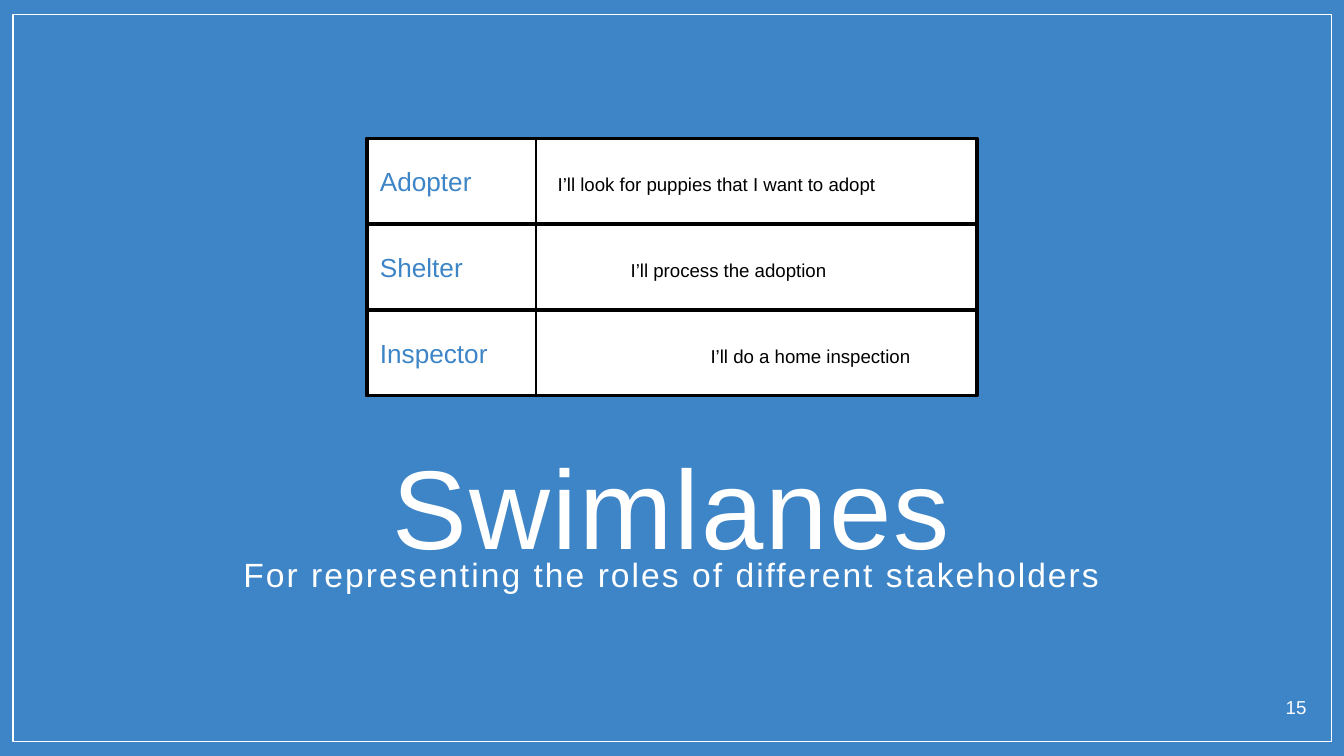
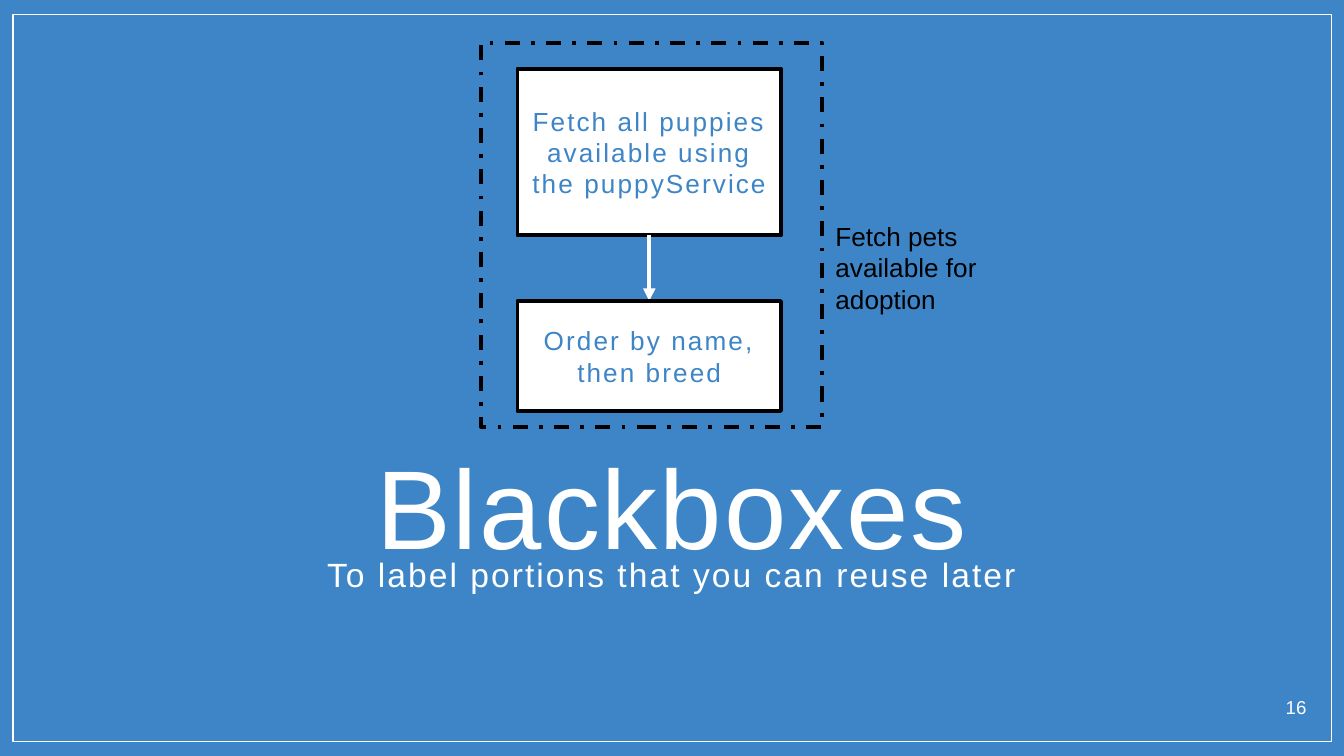
from lxml import etree
from pptx import Presentation
from pptx.dml.color import RGBColor
from pptx.enum.dml import MSO_LINE_DASH_STYLE as Dash
from pptx.enum.shapes import MSO_CONNECTOR as Connector, MSO_SHAPE as Shape
from pptx.enum.text import MSO_ANCHOR as Anchor, MSO_AUTO_SIZE as AutoSize, PP_ALIGN as Align
from pptx.oxml.ns import qn
from pptx.util import Cm, Pt

# Content
SWIMLANES = {
    "number": 15,
    "title": "Swimlanes",
    "subtitle": "For representing the roles of different stakeholders",
}
LANES = [  # role, task, start of the task in cm from the lane's text edge
    ("Adopter", "I’ll look for puppies that I want to adopt", 3.36),
    ("Shelter", "I’ll process the adoption", 4.74),
    ("Inspector", "I’ll do a home inspection", 6.25),
]
BLACKBOXES = {
    "number": 16,
    "title": "Blackboxes",
    "subtitle": "To label portions that you can reuse later",
}
STEPS = [  # text, height in cm
    ("Fetch all puppies available using the puppyService", 3.15),
    ("Order by name, then breed", 2.08),
]
BLACKBOX_LABEL = ["Fetch pets", "available for", "adoption"]

# Shared look
BLUE, WHITE, BLACK = "3D85C6", "FFFFFF", "000000"
FONT = "Arial"
TRACKING = 110  # hundredths of a point
SLIDE_W, SLIDE_H = 25.4, 14.29
TITLE_FORMAT = {"size": 60, "color": WHITE, "spacing": TRACKING}
SUBTITLE_FORMAT = {"size": 18, "color": WHITE, "spacing": TRACKING}
NUMBER_FORMAT = {"size": 10, "color": WHITE}
ROLE_FORMAT = {"size": 14, "color": BLUE}
TASK_FORMAT = {"size": 10, "color": BLACK}
STEP_FORMAT = {"size": 14, "color": BLUE, "spacing": TRACKING}
LABEL_FORMAT = {"size": 14, "color": BLACK}


def rgb(value):
    return RGBColor.from_string(value)


def add_run(paragraph, text, size, color, spacing=0):
    run = paragraph.add_run()
    run.text = text
    for name, value in {"name": FONT, "size": Pt(size)}.items():
        setattr(run.font, name, value)
    run.font.color.rgb = rgb(color)
    if spacing:
        run.font._element.set("spc", str(spacing))


def add_text(shapes, box, lines, style, align=Align.LEFT, **frame_format):
    frame = shapes.add_textbox(*map(Cm, box)).text_frame
    for name, value in {"word_wrap": True, **frame_format}.items():
        setattr(frame, name, value)
    for index, line in enumerate(lines):
        paragraph = frame.add_paragraph() if index else frame.paragraphs[0]
        paragraph.alignment = align
        add_run(paragraph, line, **style)


def add_box(shapes, box, fill=None, line=BLACK, width=2):
    outline = shapes.add_shape(Shape.RECTANGLE, *map(Cm, box))
    outline.shadow.inherit = False
    if fill:
        outline.fill.solid()
        outline.fill.fore_color.rgb = rgb(fill)
    else:
        outline.fill.background()
    outline.line.color.rgb = rgb(line)
    outline.line.width = Pt(width)
    outline.text_frame.vertical_anchor = Anchor.MIDDLE
    return outline


def add_line(shapes, start, end, color, width, arrow=False):
    line = shapes.add_connector(Connector.STRAIGHT, *map(Cm, start + end))
    line.line.color.rgb = rgb(color)
    line.line.width = Pt(width)
    properties = line._element.spPr
    if arrow:
        etree.SubElement(properties.find(qn("a:ln")), qn("a:tailEnd"), type="triangle")
    etree.SubElement(properties, qn("a:effectLst"))


def add_slide(deck, content):
    """Blue page with a thin white frame, title, subtitle and number."""
    slide = deck.slides.add_slide(deck.slide_layouts[6])
    slide.background.fill.solid()
    slide.background.fill.fore_color.rgb = rgb(BLUE)
    shapes = slide.shapes
    add_box(shapes, (0.25, 0.28, 24.92, 13.74), line=WHITE, width=0.75)
    add_text(shapes, (1.9, 7.8, 21.6, 2.16), [content["title"]], TITLE_FORMAT,
             Align.CENTER, margin_top=Cm(0.48), margin_bottom=0)
    add_text(shapes, (1.9, 10.19, 21.6, 2.18), [content["subtitle"]], SUBTITLE_FORMAT,
             Align.CENTER, margin_top=Cm(0.28))
    add_text(shapes, (23.67, 12.9, 1.27, 0.81), [str(content["number"])], NUMBER_FORMAT,
             Align.RIGHT, margin_top=Cm(0.25))
    return shapes


def add_swimlanes(shapes):
    left, top, width, height = 6.93, 2.62, 11.53, 1.62
    divider = left + 3.2
    for row, (role, task, task_start) in enumerate(LANES):
        lane = add_box(shapes, (left, top + row * height, width, height), WHITE)
        paragraph = lane.text_frame.paragraphs[0]
        paragraph.alignment = Align.LEFT
        # The tab stop puts the task at its place in the lane
        stops = etree.SubElement(paragraph._p.get_or_add_pPr(), qn("a:tabLst"))
        etree.SubElement(stops, qn("a:tab"), pos=str(Cm(task_start)), algn="l")
        add_run(paragraph, role + "\t", **ROLE_FORMAT)
        add_run(paragraph, task, **TASK_FORMAT)
    add_line(shapes, (divider, top), (divider, top + len(LANES) * height), BLACK, 1)


def add_blackbox(shapes):
    group = shapes.add_group_shape().shapes
    left, top, width, gap = 9.78, 1.3, 4.98, 1.24
    center = left + width / 2
    # Steps, each joined to the one before
    for index, (text, height) in enumerate(STEPS):
        if index:
            add_line(group, (center, top - gap), (center, top), WHITE, 2.25, arrow=True)
        step = add_box(group, (left, top, width, height), WHITE)
        step.text_frame.word_wrap = True
        paragraph = step.text_frame.paragraphs[0]
        paragraph.alignment = Align.CENTER
        add_run(paragraph, text, **STEP_FORMAT)
        top += height + gap
    # Dashed boundary and its label
    boundary = add_box(group, (9.09, 0.81, 6.45, 7.26))
    boundary.line.dash_style = Dash.DASH_DOT
    add_text(group, (15.54, 4.04, 3.2, 2.06), BLACKBOX_LABEL, LABEL_FORMAT,
             word_wrap=False, auto_size=AutoSize.SHAPE_TO_FIT_TEXT)


def main():
    deck = Presentation()
    deck.slide_width, deck.slide_height = Cm(SLIDE_W), Cm(SLIDE_H)
    add_swimlanes(add_slide(deck, SWIMLANES))
    add_blackbox(add_slide(deck, BLACKBOXES))
    deck.save("out.pptx")


if __name__ == "__main__":
    main()
